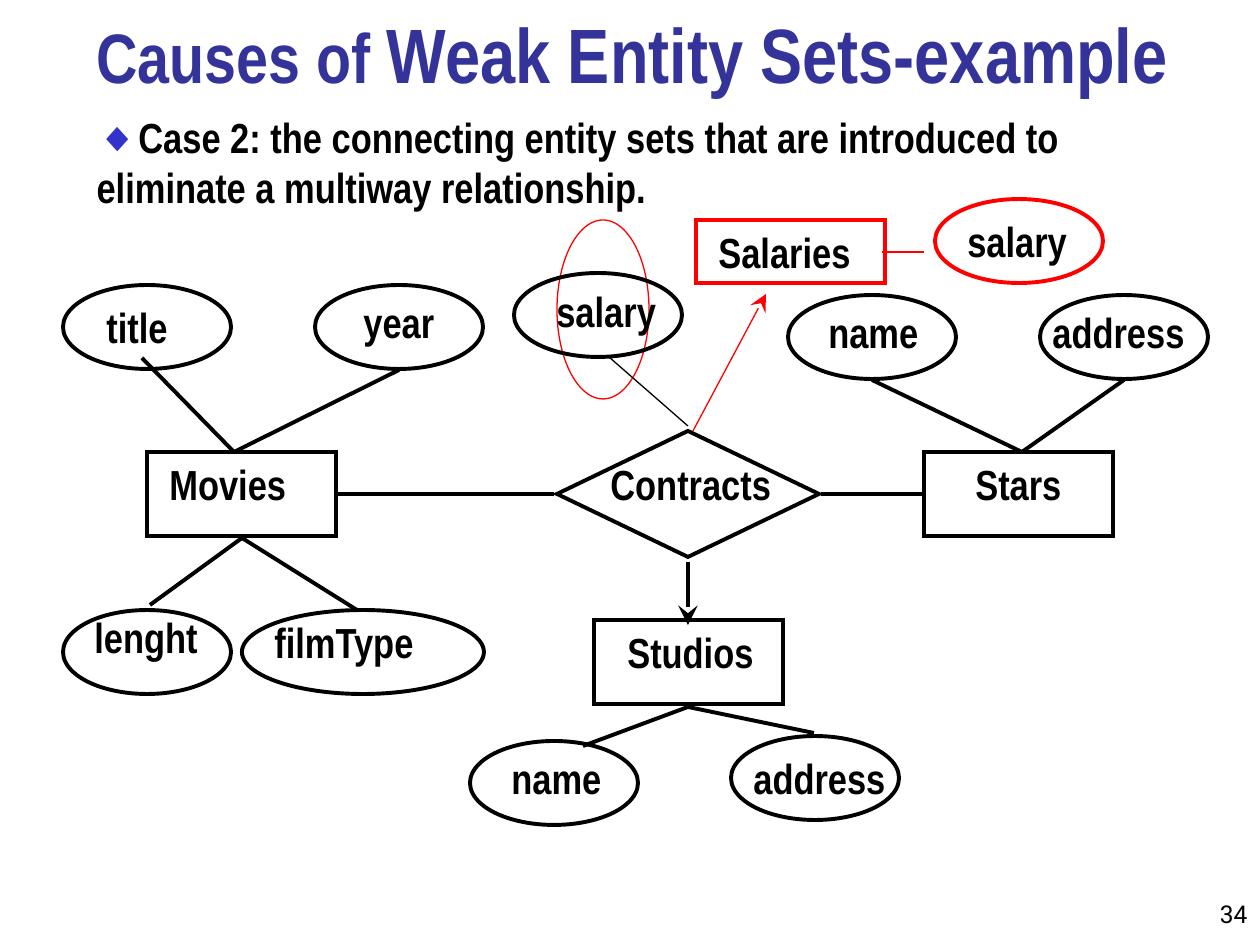
from lxml import etree
from pptx import Presentation
from pptx.dml.color import RGBColor
from pptx.enum.shapes import MSO_CONNECTOR, MSO_SHAPE as SHAPE
from pptx.enum.text import MSO_ANCHOR, MSO_AUTO_SIZE, PP_ALIGN
from pptx.oxml.ns import qn
from pptx.util import Pt

PX = 914400 // 126
BLACK, RED, TITLE_BLUE, BULLET_BLUE = "000000", "FF0000", "333399", "3333CC"
THICK, THIN = 2.25, 0.75


def style_font(font, size, color, name="Arial Narrow", bold=True):
    font.name, font.size, font.bold = name, Pt(size), bold
    font.color.rgb = RGBColor.from_string(color)


def place(shape, *box):
    """Move and size a shape, given left, top, width and height in px."""
    shape.left, shape.top, shape.width, shape.height = (v * PX for v in box)


presentation = Presentation()
presentation.slide_width, presentation.slide_height = 1260 * PX, 945 * PX
slide = presentation.slides.add_slide(presentation.slide_layouts[1])
shapes = slide.shapes

# Title and statement of the case
title, body = shapes.title, slide.placeholders[1]
place(title, 84, 5, 1176, 95)
place(body, 84, 105, 1142, 113)
texts = [
    (title, MSO_ANCHOR.MIDDLE, [("Causes of ", 40, TITLE_BLUE),
                                ("Weak Entity Sets-example", 44, TITLE_BLUE)]),
    (body, MSO_ANCHOR.TOP, [("◆", 24, BULLET_BLUE),
                            ("Case 2: the connecting entity sets that are introduced to "
                             "eliminate a multiway relationship.", 24, BLACK)]),
]
for placeholder, anchor, runs in texts:
    frame = placeholder.text_frame
    frame.auto_size = MSO_AUTO_SIZE.NONE
    frame.vertical_anchor = anchor
    paragraph = frame.paragraphs[0]
    properties = paragraph._p.get_or_add_pPr()
    properties.set("marL", "0")
    properties.set("indent", "0")
    etree.SubElement(properties, qn("a:buNone"))
    paragraph.alignment = PP_ALIGN.LEFT
    paragraph.space_before = Pt(0)
    for text, size, color in runs:
        run = paragraph.add_run()
        run.text = text
        style_font(run.font, size, color)

# Entity sets, relationship and attributes: kind, box, line colour and width
nodes = [
    (SHAPE.RECTANGLE, (147, 452, 189, 84), BLACK, THICK),
    (SHAPE.RECTANGLE, (924, 452, 189, 84), BLACK, THICK),
    (SHAPE.RECTANGLE, (594, 620, 189, 84), BLACK, THICK),
    (SHAPE.RECTANGLE, (696, 220, 189, 63), RED, THICK),
    (SHAPE.FLOWCHART_DECISION, (557, 431, 262, 126), BLACK, THICK),
    (SHAPE.OVAL, (242, 610, 242, 84), BLACK, THICK),
    (SHAPE.OVAL, (935, 199, 168, 84), RED, THICK),
    (SHAPE.OVAL, (557, 220, 92, 179), RED, THIN),
]
attribute_corners = [(63, 285), (315, 285), (514, 273), (788, 295), (1040, 295),
                     (63, 610), (470, 741), (731, 736)]
nodes += [(SHAPE.OVAL, (left, top, 168, 84), BLACK, THICK)
          for left, top in attribute_corners]
for kind, box, color, width in nodes:
    node = shapes.add_shape(kind, *(v * PX for v in box))
    node.shadow.inherit = False
    node.fill.background()
    node.line.color.rgb = RGBColor.from_string(color)
    node.line.width = Pt(width)
    etree.SubElement(node.line._get_or_add_ln(), qn("a:miter"), lim="800000")

# Links: start, end, colour, width, arrowhead
links = [
    ((242, 538), (150, 605), BLACK, THICK, False),
    ((242, 538), (357, 610), BLACK, THICK, False),
    ((234, 452), (142, 358), BLACK, THICK, False),
    ((234, 452), (399, 370), BLACK, THICK, False),
    ((338, 494), (554, 494), BLACK, THICK, False),
    ((821, 494), (922, 494), BLACK, THICK, False),
    ((1022, 452), (872, 380), BLACK, THICK, False),
    ((1022, 452), (1124, 380), BLACK, THICK, False),
    ((688, 562), (688, 625), BLACK, THICK, True),
    ((688, 707), (583, 746), BLACK, THICK, False),
    ((688, 707), (814, 733), BLACK, THICK, False),
    ((688, 426), (609, 357), BLACK, THIN, False),
    ((882, 252), (924, 252), RED, THIN, False),
    ((693, 431), (766, 294), RED, THIN, True),
]
for start, end, color, width, arrow in links:
    link = shapes.add_connector(MSO_CONNECTOR.STRAIGHT, *(v * PX for v in start + end))
    link.line.color.rgb = RGBColor.from_string(color)
    link.line.width = Pt(width)
    if arrow:
        etree.SubElement(link.line._get_or_add_ln(), qn("a:tailEnd"),
                         type="stealth", w="lg", len="lg")
    etree.SubElement(link._element.spPr, qn("a:effectLst"))

# Labels: text, left, top, width
labels = [
    ("Movies", 157, 452, 142), ("Stars", 963, 452, 112), ("Contracts", 598, 452, 186),
    ("Studios", 615, 620, 153), ("Salaries", 706, 220, 158),
    ("title", 94, 295, 87), ("year", 351, 290, 97), ("salary", 544, 279, 125),
    ("salary", 955, 209, 125), ("name", 816, 300, 116), ("address", 1040, 300, 158),
    ("lenght", 82, 605, 129), ("filmType", 262, 610, 189),
    ("name", 499, 746, 116), ("address", 741, 746, 158),
]
for text, left, top, width in labels:
    label = shapes.add_textbox(left * PX, top * PX, width * PX, 63 * PX)
    label.text_frame.text = text
    label.text_frame.word_wrap = False
    label.text_frame.margin_right = 0
    style_font(label.text_frame.paragraphs[0].runs[0].font, 24, BLACK)

# Page number
number = shapes.add_textbox(1176 * PX, 872 * PX, 84 * PX, 63 * PX)
number.text_frame.text = "34"
number.text_frame.word_wrap = True
number.text_frame.vertical_anchor = MSO_ANCHOR.BOTTOM
paragraph = number.text_frame.paragraphs[0]
paragraph.alignment = PP_ALIGN.RIGHT
style_font(paragraph.runs[0].font, 14, BLACK, "Roboto", False)

presentation.save("out.pptx")
